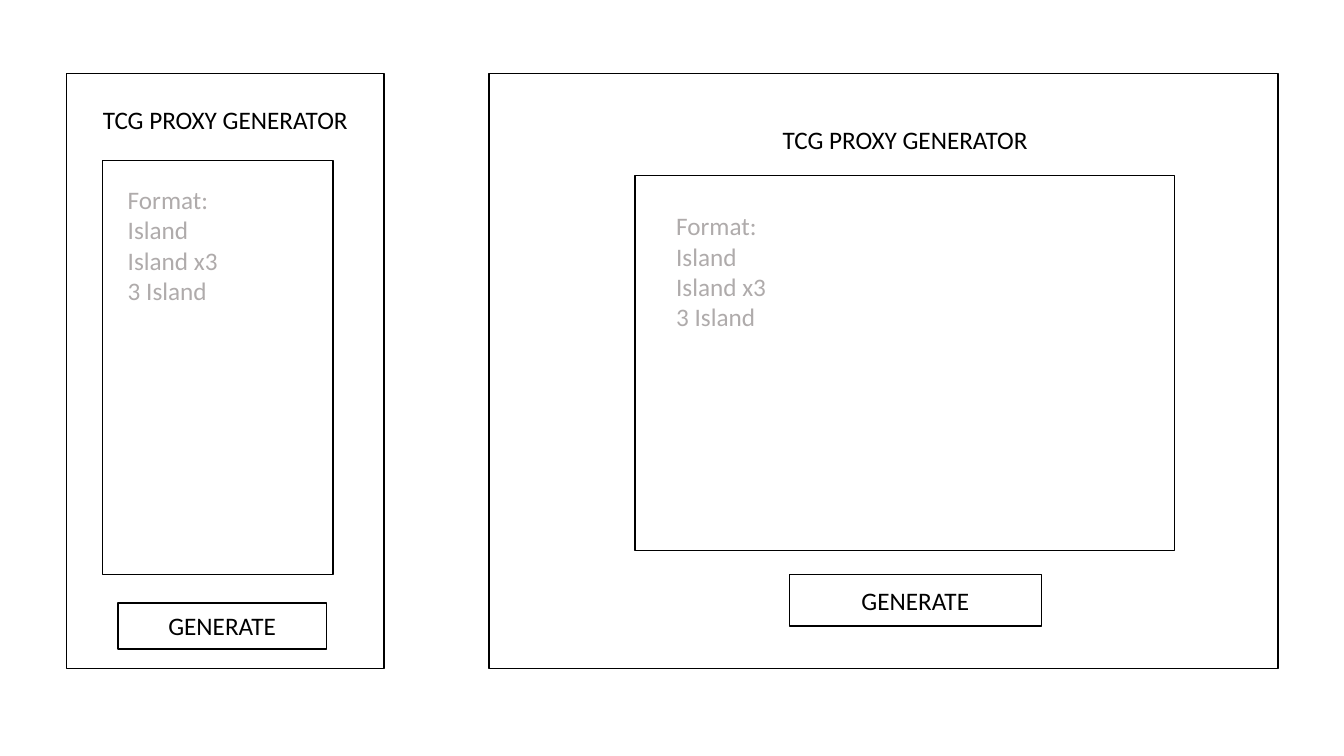
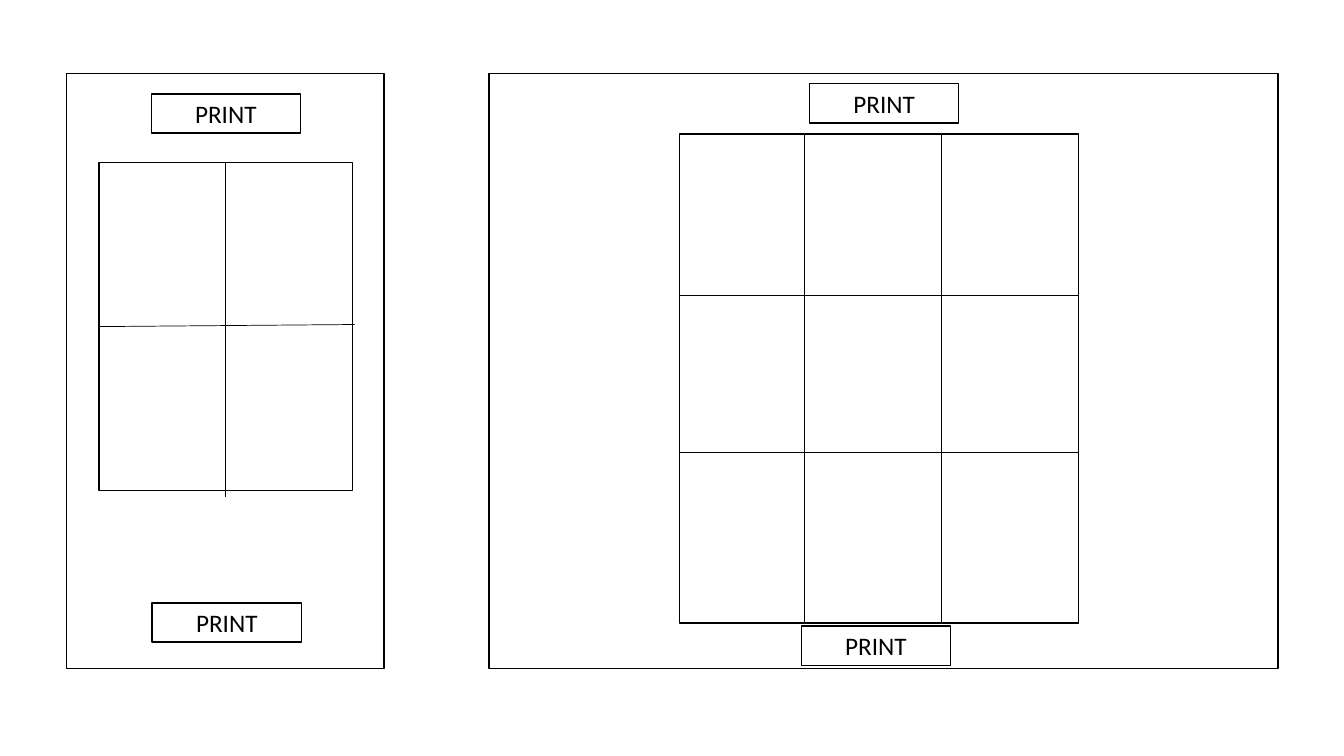
from lxml import etree
from pptx import Presentation
from pptx.dml.color import RGBColor
from pptx.enum.shapes import MSO_CONNECTOR, MSO_SHAPE
from pptx.enum.text import MSO_ANCHOR, PP_ALIGN
from pptx.oxml.ns import qn
from pptx.util import Pt

COLORS = {"ink": "000000", "paper": "FFFFFF", "hint": "AFABAB"}
FONT, TEXT_SIZE = "Calibri", 18
PANELS = [(47.5, 52.6, 226.8, 424.8), (349.2, 52.6, 563.8, 424.8)]  # phone, desktop
TITLE = "TCG PROXY GENERATOR"
HINT = "Format:\nIsland\nIsland x3\n3 Island"


def write(sp, text, color="ink", align=PP_ALIGN.CENTER):
    tf = sp.text_frame
    tf.word_wrap = True
    tf.text = text
    for p in tf.paragraphs:
        p.alignment = align
        for r in p.runs:
            r.font.name, r.font.size = FONT, Pt(TEXT_SIZE)
            r.font.color.rgb = RGBColor.from_string(COLORS[color])


def add_box(s, bounds, label=None):
    """Add a white outlined rectangle, with a centred label if given."""
    sp = s.shapes.add_shape(MSO_SHAPE.RECTANGLE, *map(Pt, bounds))
    sp.shadow.inherit = False
    sp.fill.solid()
    sp.fill.fore_color.rgb = RGBColor.from_string(COLORS["paper"])
    sp.line.color.rgb = RGBColor.from_string(COLORS["ink"])
    sp.line.width = Pt(1)
    if label:
        write(sp, label)
        sp.text_frame.vertical_anchor = MSO_ANCHOR.MIDDLE


prs = Presentation()
prs.slide_width, prs.slide_height = Pt(960), Pt(540)
slides = []
for _ in range(2):
    s = prs.slides.add_slide(prs.slide_layouts[6])
    for panel in PANELS:
        add_box(s, panel)
    slides.append(s)
input_slide, print_slide = slides

# Input screens: title, card list field, hint, button
input_screens = [
    ((47.5, 70.6, 226.8, 29), (73.4, 114.5, 164.5, 296),
     (84.2, 128.2, 144, 94.5), (84.2, 430.6, 149, 33)),
    ((502.6, 85, 288, 29), (453.6, 125.3, 385.2, 267.8),
     (475.9, 146.9, 340, 94.5), (563.8, 410.4, 180, 36.7)),
]
for title, field, hint, button in input_screens:
    write(input_slide.shapes.add_textbox(*map(Pt, title)), TITLE)
    add_box(input_slide, field)
    write(input_slide.shapes.add_textbox(*map(Pt, hint)), HINT, "hint", PP_ALIGN.LEFT)
    add_box(input_slide, button, "GENERATE")

# Print screens: card sheet, dividers (x1, y1, x2, y2), button corners
print_screens = [
    ((70.6, 115.9, 181.4, 234.7),
     [(161.3, 115.9, 161.3, 355), (70.6, 233.3, 253.4, 231.8)],
     [(108, 67), (108.7, 430.6)]),
    ((485.3, 95.8, 285.1, 349.2),
     [(x, 95.8, x, 444.2) for x in (574.6, 672.5)]
     + [(485.3, y, 770.4, y) for y in (211, 323.3)],
     [(578.2, 59.8), (572.4, 447.1)]),
]
for sheet, dividers, buttons in print_screens:
    add_box(print_slide, sheet)
    for ends in dividers:
        line = print_slide.shapes.add_connector(MSO_CONNECTOR.STRAIGHT, *map(Pt, ends))
        line.line.color.rgb = RGBColor.from_string(COLORS["ink"])
        line.line.width = Pt(0.5)
        etree.SubElement(line._element.spPr, qn("a:effectLst"))
    for x, y in buttons:
        add_box(print_slide, (x, y, 106.6, 28.1), "PRINT")

prs.save("out.pptx")
